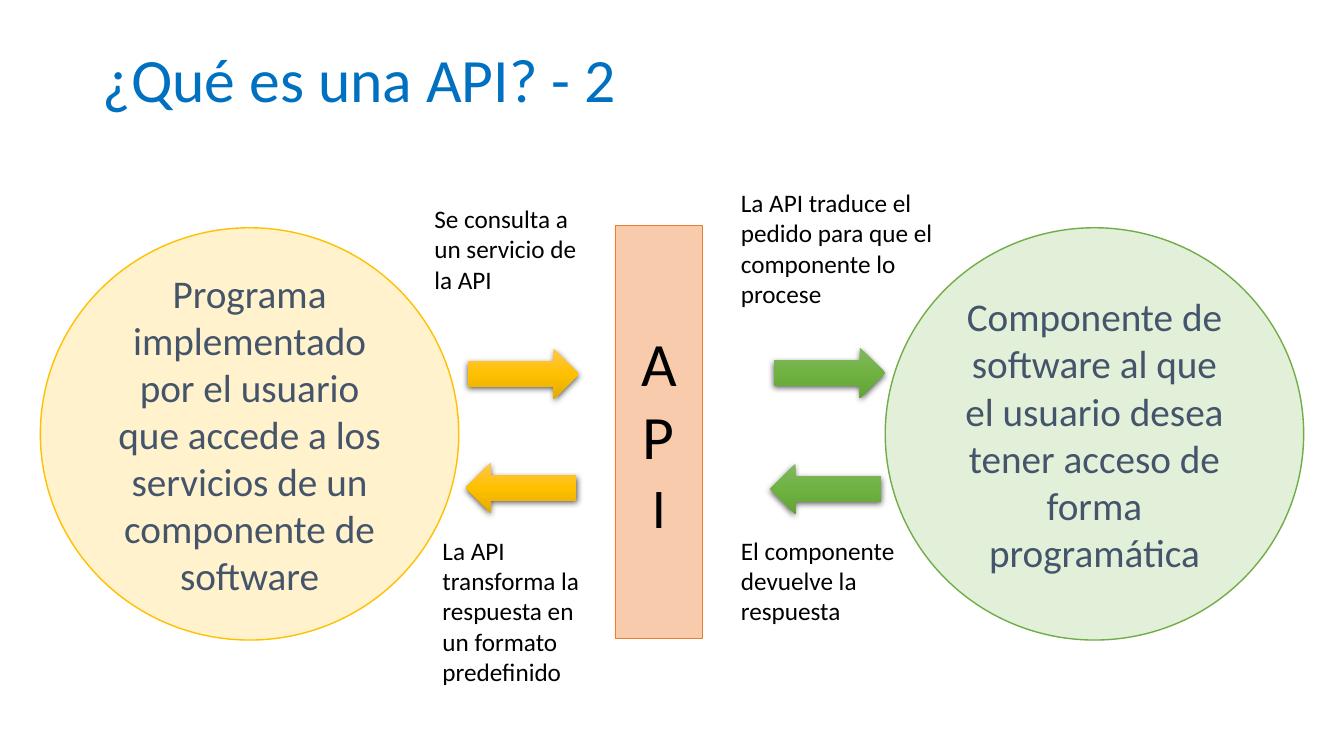
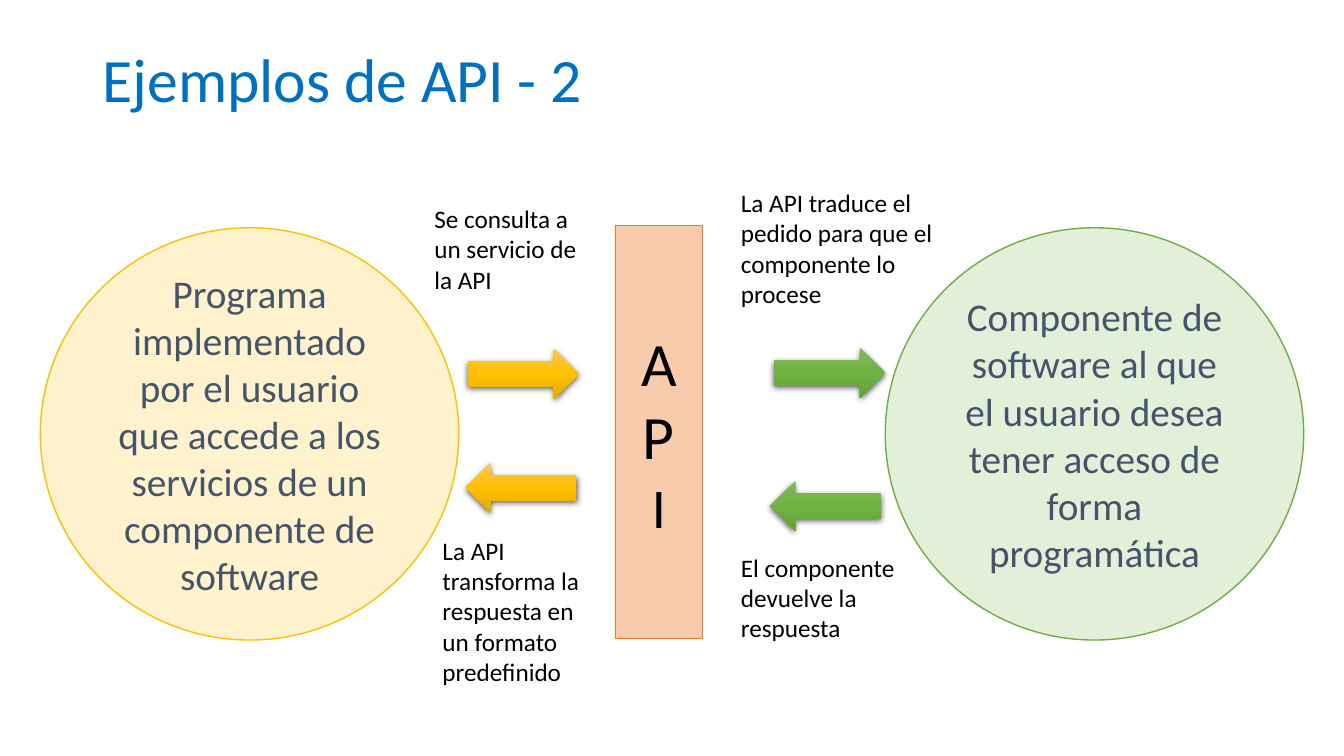
from copy import deepcopy
from pptx import Presentation
from pptx.dml.color import RGBColor
from pptx.enum.shapes import MSO_SHAPE
from pptx.enum.text import MSO_ANCHOR, PP_ALIGN
from pptx.oxml import parse_xml
from pptx.oxml.ns import nsdecls, qn
from pptx.util import Inches, Pt

OVAL, RECT = MSO_SHAPE.OVAL, MSO_SHAPE.RECTANGLE
RIGHT, LEFT = MSO_SHAPE.RIGHT_ARROW, MSO_SHAPE.LEFT_ARROW
TOP, MIDDLE = MSO_ANCHOR.TOP, MSO_ANCHOR.MIDDLE
START, CENTER = PP_ALIGN.LEFT, PP_ALIGN.CENTER

FONT = "Calibri"
BLUE = RGBColor(0x00, 0x70, 0xC0)
SLATE = RGBColor(0x44, 0x54, 0x6A)
BLACK = RGBColor(0x00, 0x00, 0x00)
CREAM = RGBColor(0xFF, 0xF2, 0xCC)
GOLD = RGBColor(0xFF, 0xC0, 0x00)
MINT = RGBColor(0xE2, 0xF0, 0xD9)
GREEN = RGBColor(0x70, 0xAD, 0x47)
PEACH = RGBColor(0xF8, 0xCB, 0xAD)
ORANGE = RGBColor(0xED, 0x7D, 0x31)
WARM = (RGBColor(0xFF, 0xC6, 0x4B), GOLD, RGBColor(0xE3, 0xAB, 0x00))
FRESH = (RGBColor(0x81, 0xB8, 0x61), RGBColor(0x6F, 0xB2, 0x42),
         RGBColor(0x62, 0xA3, 0x36))

TITLE_BOX = (0.92, 0.35, 9.94, 0.93)
FLOW_BOX = (0.4, 1.81, 12.53, 5.07)
DISC_W, DISC_H = 4.15, 4.09
ARROW_W, ARROW_H = 1.1, 0.5

USER = ("Programa implementado por el usuario que accede a los servicios "
        "de un componente de software")
PART = ("Componente de software al que el usuario desea tener acceso de "
        "forma programática")
ASK = "Se consulta a un servicio de la API"
PASS = "La API traduce el pedido para que el componente lo procese"
REPLY = "El componente devuelve la respuesta"
GIVE = "La API transforma la respuesta en un formato predefinido"


def write(shape, lines, color, align=START, anchor=TOP, space=None):
    """Fill a shape with (text, size) lines, one paragraph each."""
    frame = shape.text_frame
    frame.word_wrap = True
    frame.vertical_anchor = anchor
    frame.text = "\n".join(text for text, size in lines)
    for para, (text, size) in zip(frame.paragraphs, lines):
        para.alignment = align
        para.line_spacing = space
        para.font.name = FONT
        para.font.size = Pt(size)
        para.font.color.rgb = color


def add_text(slide, box, text, size, color, anchor=TOP, space=None):
    """Add a wrapped text box."""
    shape = slide.shapes.add_textbox(*map(Inches, box))
    write(shape, [(text, size)], color, START, anchor, space)


def add_block(slide, kind, box, fill, edge, width, lines, color):
    """Add a flat outlined shape with centred text."""
    shape = slide.shapes.add_shape(kind, *map(Inches, box))
    shape.shadow.inherit = False
    shape.fill.solid()
    shape.fill.fore_color.rgb = fill
    shape.line.color.rgb = edge
    shape.line.width = Pt(width)
    write(shape, lines, color, CENTER, MIDDLE)


def add_arrow(slide, kind, left, top, shades):
    """Add a block arrow with a vertical gradient and a soft shadow."""
    shape = slide.shapes.add_shape(
        kind, *map(Inches, (left, top, ARROW_W, ARROW_H)))
    shape.line.fill.background()
    shape.fill.gradient()
    shape.fill.gradient_angle = 270
    props = shape.element.spPr
    stops = props.find(qn("a:gradFill")).find(qn("a:gsLst"))
    stops.insert(1, deepcopy(stops[0]))
    for i, (stop, shade) in enumerate(zip(shape.fill.gradient_stops, shades)):
        stop.position = i / 2
        stop.color.rgb = shade
    shape.shadow.inherit = False
    props.find(qn("a:effectLst")).append(parse_xml(
        f'<a:outerShdw {nsdecls("a")} blurRad="{Pt(4.5)}" dist="{Pt(1.5)}" '
        'dir="5400000" algn="ctr" rotWithShape="0"><a:srgbClr val="000000">'
        '<a:alpha val="63000"/></a:srgbClr></a:outerShdw>'))


def add_flow(slide, box, drop):
    """Draw both sides, the API bar and the four steps; drop lowers the reply."""
    left, top, width, height = box
    discs = [(left, CREAM, GOLD, USER),
             (left + width - DISC_W, MINT, GREEN, PART)]
    for x, fill, edge, text in discs:
        add_block(slide, OVAL, (x, top + 0.45, DISC_W, DISC_H),
                  fill, edge, 1, [(text, 28)], SLATE)
    add_block(slide, RECT, (left + 5.7, top + 0.43, 0.87, DISC_H),
              PEACH, ORANGE, 0.5, [("A", 44), ("P", 44), ("I", 40)], BLACK)
    steps = [(RIGHT, WARM, 4.24, 1.65, ASK, 3.81, 0.16, 1.71, 1.1),
             (RIGHT, FRESH, 7.28, 1.64, PASS, 6.85, 0, 2.26, 1.43),
             (LEFT, FRESH, 7.24, 2.79 + drop, REPLY, 6.85, 3.45 + drop, 1.9, 1.1),
             (LEFT, WARM, 4.22, 2.78, GIVE, 3.89, 3.45, 1.71, 1.62)]
    for kind, shades, ax, ay, text, x, y, w, h in steps:
        add_arrow(slide, kind, left + ax, top + ay, shades)
        add_text(slide, (left + x, top + y, w, h), text, 18, BLACK)


def add_page(deck, title, drop):
    """Add one slide with its title and flow."""
    slide = deck.slides.add_slide(deck.slide_layouts[6])
    add_text(slide, TITLE_BOX, title, 44, BLUE, MIDDLE, 0.9)
    add_flow(slide, FLOW_BOX, drop)


def main():
    """Build and save the deck."""
    deck = Presentation()
    deck.slide_width, deck.slide_height = Inches(13.33), Inches(7.5)
    for title, drop in [("¿Qué es una API? - 2", 0),
                        ("Ejemplos de API - 2", 0.17)]:
        add_page(deck, title, drop)
    deck.save("out.pptx")


main()
